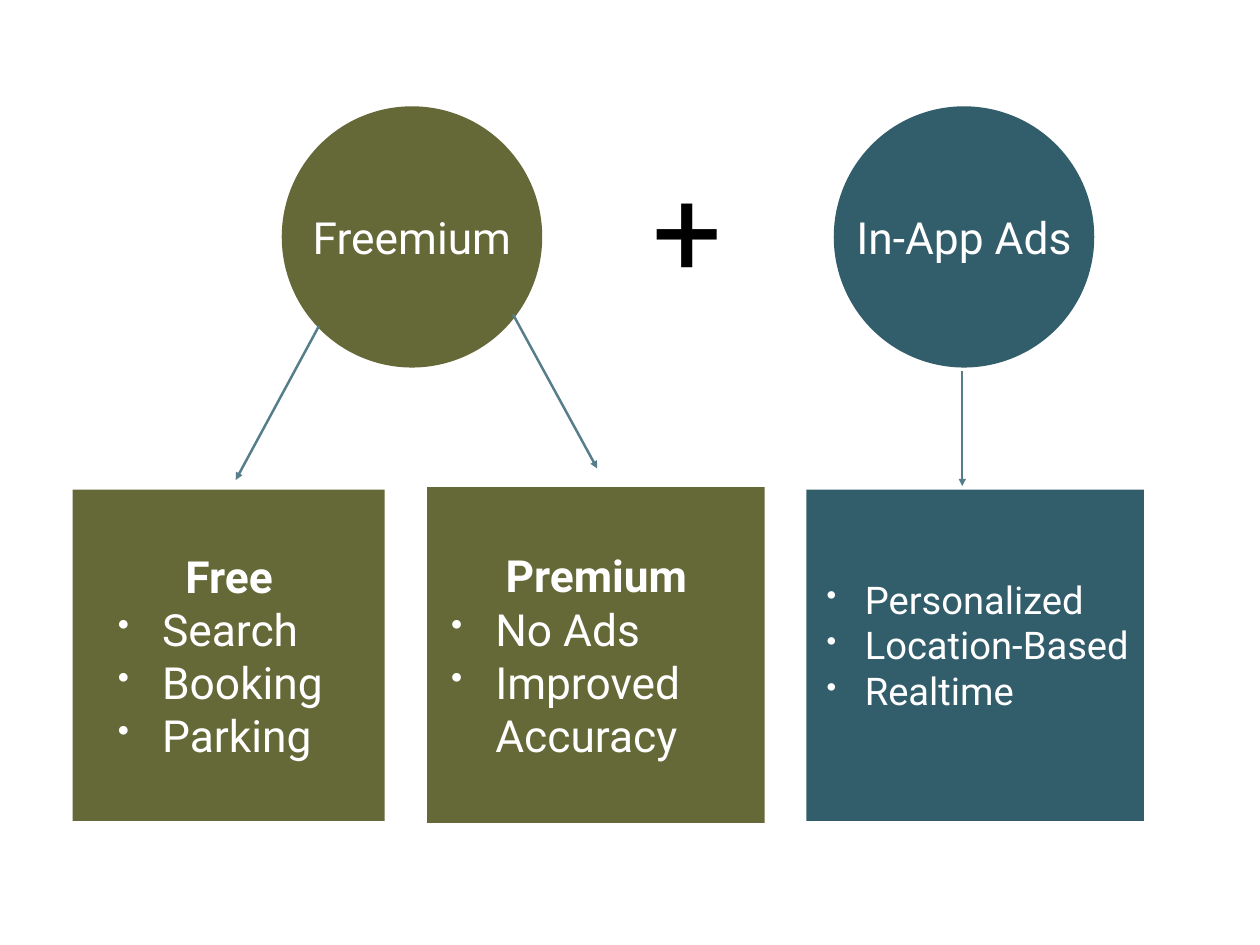
"""Build the slide that shows a freemium model combined with in-app ads."""
import lxml.etree
import pptx
import pptx.dml.color
import pptx.enum.shapes
import pptx.enum.text
import pptx.oxml.ns
import pptx.util

PX = 9144
OLIVE = pptx.dml.color.RGBColor(0x65, 0x68, 0x37)
TEAL = pptx.dml.color.RGBColor(0x32, 0x5D, 0x6B)
ARROW = pptx.dml.color.RGBColor(0x55, 0x7E, 0x8A)
WHITE = pptx.dml.color.RGBColor(0xFF, 0xFF, 0xFF)
BLACK = pptx.dml.color.RGBColor(0x00, 0x00, 0x00)
SHAPES = pptx.enum.shapes.MSO_SHAPE
ALIGN = pptx.enum.text.PP_ALIGN


def px(*lengths):
    return [pptx.util.Emu(length * PX) for length in lengths]


def add_element(parent, tag, **attributes):
    return lxml.etree.SubElement(parent, pptx.oxml.ns.qn(tag), attributes)


def prepare_frame(shape, margins=(0, 0, 0, 0), wrap=True):
    frame = shape.text_frame
    frame.margin_left, frame.margin_top, frame.margin_right, frame.margin_bottom = px(*margins)
    frame.vertical_anchor = pptx.enum.text.MSO_ANCHOR.MIDDLE
    frame.word_wrap = wrap
    return frame


def write(frame, text, size=36, color=WHITE, bold=False, indent=0):
    paragraph = frame.paragraphs[0]
    if paragraph.runs:
        paragraph = frame.add_paragraph()
    paragraph.alignment = ALIGN.LEFT if indent else ALIGN.CENTER
    if indent:
        properties = paragraph._p.get_or_add_pPr()
        properties.set("marL", str(indent * PX))
        properties.set("indent", str(-indent * PX))
        add_element(properties, "a:buSzPct", val="75000")
        add_element(properties, "a:buChar", char="•")
    run = paragraph.add_run()
    run.text = text
    run.font.name = "Roboto"
    run.font.size = pptx.util.Pt(size)
    run.font.bold = bold
    run.font.color.rgb = color


def add_filled(slide, kind, box, color):
    shape = slide.shapes.add_shape(kind, *px(*box))
    shape.shadow.inherit = False
    shape.fill.solid()
    shape.fill.fore_color.rgb = color
    shape.line.fill.background()
    return shape


def add_circle(slide, left, text, color):
    circle = add_filled(slide, SHAPES.OVAL, (left, 120, 294, 295), color)
    write(prepare_frame(circle, wrap=False), text)


def add_card(slide, box, color, margins, items, title=None, size=36, indent=50):
    frame = prepare_frame(add_filled(slide, SHAPES.RECTANGLE, box, color), margins)
    if title:
        write(frame, title, size=size, bold=True)
    for item in items:
        write(frame, item, size=size, indent=indent)


def add_plus(slide):
    box = slide.shapes.add_textbox(*px(728, 169, 96, 175))
    write(prepare_frame(box, wrap=False), "+", size=100, color=BLACK)


def add_arrow(slide, start, end):
    straight = pptx.enum.shapes.MSO_CONNECTOR.STRAIGHT
    arrow = slide.shapes.add_connector(straight, *px(*start, *end))
    arrow.line.color.rgb = ARROW
    arrow.line.width = pptx.util.Pt(2)
    add_element(arrow.line._get_or_add_ln(), "a:tailEnd", type="triangle")
    add_element(arrow._element.spPr, "a:effectLst")


def main():
    presentation = pptx.Presentation()
    presentation.slide_width, presentation.slide_height = px(1422, 1067)
    slide = presentation.slides.add_slide(presentation.slide_layouts[6])

    add_circle(slide, 318, "Freemium", OLIVE)
    add_plus(slide)
    add_circle(slide, 941, "In-App Ads", TEAL)

    add_card(slide, (82, 553, 352, 374), OLIVE, (51, 0, 50, 0),
             ("Search", "Booking", "Parking"), title="Free")
    add_card(slide, (482, 550, 381, 379), OLIVE, (27, 0, 26, 0),
             ("No Ads", "Improved Accuracy"), title="Premium")
    add_card(slide, (910, 553, 381, 374), TEAL, (23, 0, 8, 24),
             ("Personalized", "Location-Based", "Realtime"), size=31, indent=43)

    add_arrow(slide, (360, 368), (266, 542))
    add_arrow(slide, (579, 355), (674, 529))
    add_arrow(slide, (1086, 419), (1086, 549))

    presentation.save("out.pptx")


if __name__ == "__main__":
    main()
